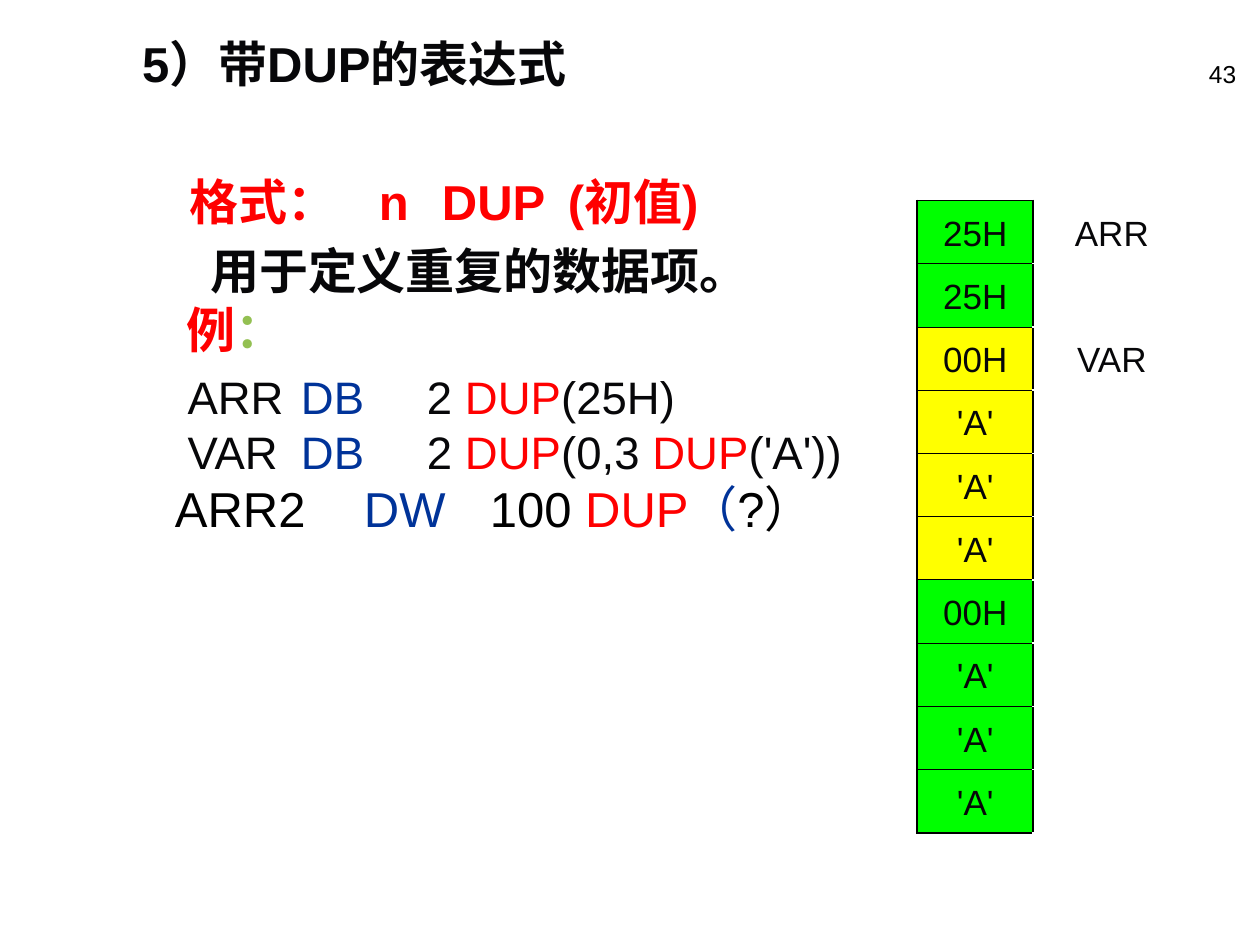
from lxml.etree import SubElement
from pptx import Presentation
from pptx.dml.color import RGBColor as RGB
from pptx.enum.text import MSO_ANCHOR as ANCHOR, PP_ALIGN as ALIGN
from pptx.oxml.ns import qn
from pptx.util import Inches, Pt

INK = RGB(0x07, 0x07, 0x09)
BLACK = RGB(0, 0, 0)
RED = RGB(0xFF, 0, 0)
BLUE = RGB(0, 0x33, 0x99)
LIME = RGB(0x93, 0xC0, 0x52)
GREEN = RGB(0, 0xFF, 0)
YELLOW = RGB(0xFF, 0xFF, 0)
THICK, THIN = 1.08, 0.45


class SlideBuilder:
    """Draws styled elements on one slide, measured on a 100 by 75 grid."""

    def __init__(self, prs, font="Arial"):
        self.s = prs.slides.add_slide(prs.slide_layouts[6])
        self.col, self.row = prs.slide_width / 100, prs.slide_height / 75
        self.font = font

    def box(self, x, y, w, h):
        return [round(v) for v in (x * self.col, y * self.row, w * self.col, h * self.row)]

    def runs(self, p, parts, **style):
        for text, color in parts:
            r = p.add_run()
            r.text = text
            r.font.color.rgb = color
            for name, value in {"name": self.font, **style}.items():
                setattr(r.font, name, value)

    def tabs(self, p, stops, indent=0):
        pPr = p._p.get_or_add_pPr()
        pPr.set("marL", "0")
        pPr.set("indent", str(round(indent * self.col)))
        tab_list = SubElement(pPr, qn("a:tabLst"))
        for stop in stops:
            SubElement(tab_list, qn("a:tab"), pos=str(round(stop * self.col)), algn="l")

    def text(self, place, parts, stops=(), align=ALIGN.LEFT, anchor=ANCHOR.TOP, **style):
        tf = self.s.shapes.add_textbox(*self.box(*place)).text_frame
        tf.word_wrap, tf.vertical_anchor = True, anchor
        p = tf.paragraphs[0]
        p.alignment = align
        if stops:
            self.tabs(p, stops)
        self.runs(p, parts, **style)

    def code(self, place, lines):
        tf = self.s.shapes.add_textbox(*self.box(*place)).text_frame
        tf.word_wrap = True
        for i, (size, indent, stops, parts) in enumerate(lines):
            p = tf.add_paragraph() if i else tf.paragraphs[0]
            self.tabs(p, stops, indent)
            self.runs(p, parts, size=Pt(size))

    def border(self, cell, **widths):
        tcPr = cell._tc.get_or_add_tcPr()
        for side, width in widths.items():
            ln = SubElement(tcPr, qn(f"a:ln{side}"), w=str(Pt(width)))
            fill = SubElement(ln, qn("a:solidFill"))
            SubElement(fill, qn("a:srgbClr"), val=str(BLACK))

    def memory(self, place, widths, values, fills, labels):
        n = len(values)
        table = self.s.shapes.add_table(n, 2, *self.box(*place)).table
        table.first_row = table.horz_banding = False
        for column, width in zip(table.columns, widths):
            column.width = round(width * self.col)
        for i, (value, fill) in enumerate(zip(values, fills)):
            byte, label = table.cell(i, 0), table.cell(i, 1)
            self.border(byte, L=THICK, R=THICK, T=THIN if i else THICK,
                        B=THIN if i < n - 1 else THICK)
            self.border(label, L=THICK)
            byte.fill.solid()
            byte.fill.fore_color.rgb = fill
            label.fill.background()
            for cell, text in ((byte, value), (label, labels.get(i))):
                if text:
                    p = cell.text_frame.paragraphs[0]
                    p.alignment, p.line_spacing = ALIGN.CENTER, 1.2
                    self.runs(p, [(text, INK)], size=Pt(20))


def main():
    prs = Presentation()
    prs.slide_width, prs.slide_height = Inches(10), Inches(7.5)
    b = SlideBuilder(prs)
    heading = {"size": Pt(28), "bold": True}

    b.text((78.3, 4.2, 20.8, 5), [("43", BLACK)], align=ALIGN.RIGHT, size=Pt(14))
    b.code((12.9, 28.8, 59.1, 19), [
        (26, 1, (14.8, 22.7), [("ARR\t", INK), ("DB", BLUE), ("\t2 ", INK),
                               ("DUP", RED), ("(25H)", INK)]),
        (26, 1, (14.3, 22.3), [("VAR\t", INK), ("DB", BLUE), ("\t2 ", INK),
                               ("DUP", RED), ("(0,3 ", INK), ("DUP", RED), ("('A'))", INK)]),
        (28, 0, (14.8, 23.3), [("ARR2\t", BLACK), ("DW", BLUE), ("\t100 ", BLACK),
                               ("DUP", RED), ("（", BLUE), ("?）", BLACK)]),
    ])
    nested = ["00H"] + ["'A'"] * 3
    b.memory((72.8, 15.9, 21.7, 50.2), (9.2, 12.5), ["25H"] * 2 + nested * 2,
             [GREEN] * 2 + [YELLOW] * 4 + [GREEN] * 4, {0: "ARR", 2: "VAR"})
    b.text((10.3, 2.2, 38.6, 10.4), [("5）带DUP的表达式", INK)], **heading)
    b.text((15.7, 18.6, 46, 5.7), [("用于定义重复的数据项。", INK)], **heading)
    b.text((14.1, 13.1, 46, 5.7), [("格式：\tn\tDUP\t(初值)", RED)],
           stops=(13.5, 18, 28.3), anchor=ANCHOR.MIDDLE, **heading)
    b.text((13.8, 23.3, 9.8, 5.7), [("例", RED), ("：", LIME)], name="Times New Roman", **heading)
    prs.save("out.pptx")


if __name__ == "__main__":
    main()
